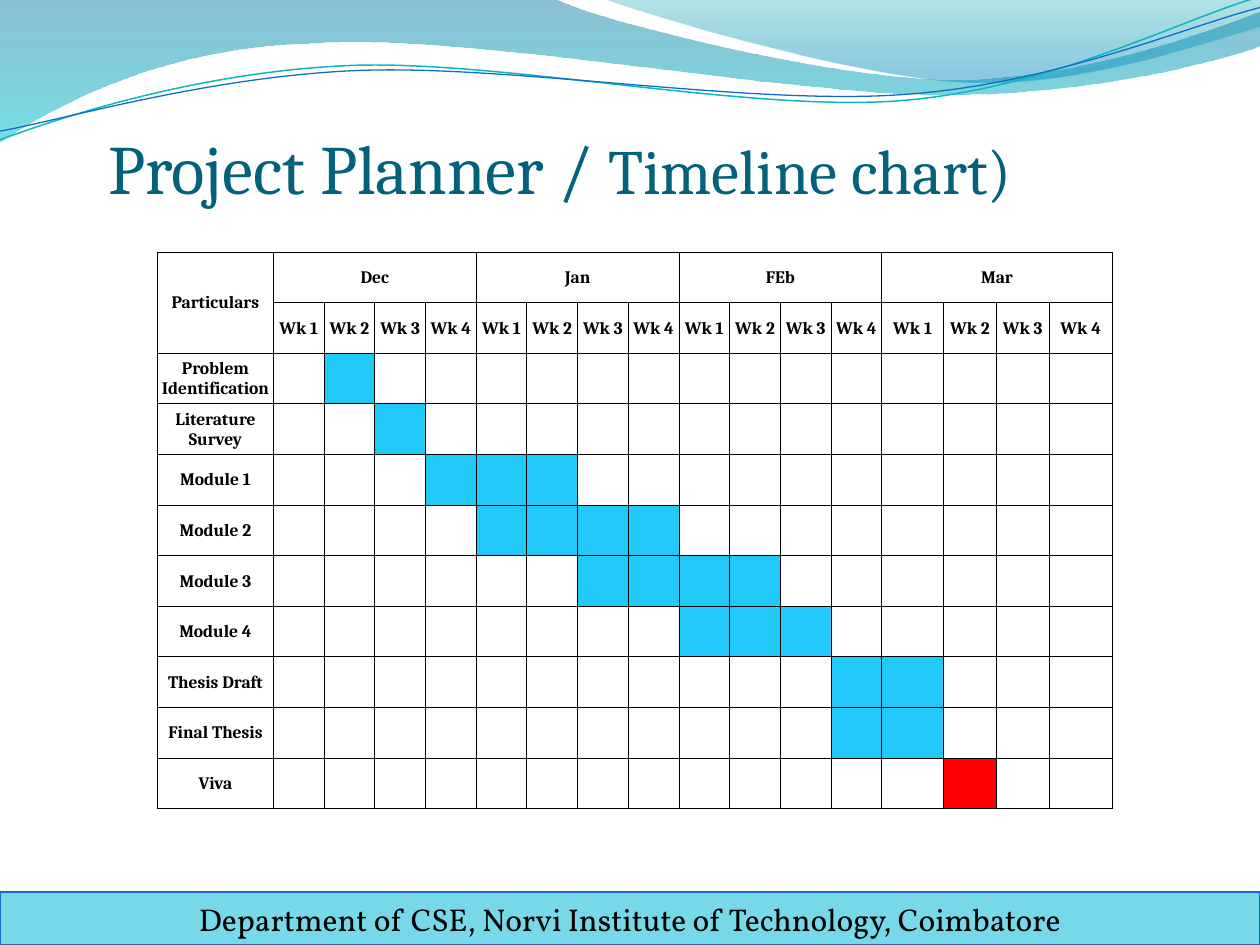
from math import cos, radians, sin

from lxml import etree
from pptx import Presentation
from pptx.dml.color import RGBColor
from pptx.enum.shapes import MSO_SHAPE
from pptx.enum.text import MSO_ANCHOR, MSO_AUTO_SIZE, PP_ALIGN
from pptx.oxml import parse_xml
from pptx.oxml.ns import nsdecls, qn
from pptx.util import Inches, Pt

RECTANGLE = MSO_SHAPE.RECTANGLE
MIDDLE, BOTTOM = MSO_ANCHOR.MIDDLE, MSO_ANCHOR.BOTTOM
LEFT, CENTER = PP_ALIGN.LEFT, PP_ALIGN.CENTER
NO_AUTOFIT = MSO_AUTO_SIZE.NONE

THEME = {
    "title": "04617B", "text": "000000", "border": "000000",
    "footer": "77D9E8", "line": "0F6FC6", "teal_line": "0AB8BF",
    "task": "20C9F8", "milestone": "FF0000",
    "heading_font": "Cambria", "footer_font": "Vollkorn",
    "title_size": 39.6, "subtitle_size": 36, "footer_size": 18, "table_size": 10,
}

# Content
TITLE_RUNS = [("Project Planner / ", THEME["title_size"]),
              ("Timeline chart)", THEME["subtitle_size"])]
FOOTER = "Department of CSE, Norvi Institute of Technology, Coimbatore"
MONTHS = ["Dec", "Jan", "FEb", "Mar"]
WEEKS = ["Wk 1", "Wk 2", "Wk 3", "Wk 4"]
# Name, first week, last week (counted from the first week of Dec), colour
TASKS = [
    ("Problem Identification", 2, 2, "task"),
    ("Literature Survey", 3, 3, "task"),
    ("Module 1", 4, 6, "task"),
    ("Module 2", 5, 8, "task"),
    ("Module 3", 7, 10, "task"),
    ("Module 4", 9, 11, "task"),
    ("Thesis Draft", 12, 13, "task"),
    ("Final Thesis", 12, 13, "task"),
    ("Viva", 14, 14, "milestone"),
]

# Waves: a start point, then segments of one point (line) or three (Bezier curve).
# Gradient stops: position, colour, opacity in percent.
FILLED_WAVES = [
    ([[(0, 0)], [(4.4, -0.01)], [(4.76, 0.17), (6.64, 0.63), (7.58, 0.63)],
      [(8.53, 0.63), (9.58, 0.26), (10, 0.09)], [(10.01, 0.36)],
      [(9.83, 0.44), (8.7, 0.76), (7.46, 0.75)],
      [(6.22, 0.75), (3.82, 0.28), (2.57, 0.34)],
      [(1.29, 0.36), (0.46, 0.83), (-0.01, 1.13)]],
     [(0, "0074A1", 45), (1, "00C6CF", 55)]),
    ([[(4.79, -0.01)], [(5.09, 0.11), (6.82, 0.62), (7.69, 0.65)],
      [(8.56, 0.69), (9.61, 0.32), (10, 0.21)], [(10, 0)]],
     [(0, "00A1A9", 30), (0.8, "008BBF", 45)]),
]
LINE_WAVES = [
    ([[(0, 1.11)], [(0.48, 0.93), (1.58, 0.57), (2.77, 0.52)],
      [(3.95, 0.47), (5.93, 0.89), (7.13, 0.8)],
      [(8.33, 0.71), (9.38, 0.15), (9.98, -0.02)]], "teal_line", 0.85),
    ([[(0, 1.04)], [(0.47, 0.96), (1.64, 0.61), (2.83, 0.56)],
      [(4.03, 0.51), (5.97, 0.84), (7.17, 0.75)],
      [(8.36, 0.67), (9.41, 0.21), (10, 0.06)]], "line", 0.75),
]
LINE_ROTATION = 357.3
LINE_CENTER = (4.99, 0.58)


def color(value):
    return RGBColor.from_string(value)


def format_run(run, size, font, value, bold=False):
    run.font.size, run.font.name, run.font.bold = Pt(size), font, bold
    run.font.color.rgb = color(value)


def set_margins(target, left, top, right, bottom):
    target.margin_left, target.margin_top = Inches(left), Inches(top)
    target.margin_right, target.margin_bottom = Inches(right), Inches(bottom)


def unrotate(point):
    angle = radians(-LINE_ROTATION)
    x, y = point[0] - LINE_CENTER[0], point[1] - LINE_CENTER[1]
    return (LINE_CENTER[0] + x * cos(angle) - y * sin(angle),
            LINE_CENTER[1] + x * sin(angle) + y * cos(angle))


def add_wave(slide, segments, close):
    points = [(Inches(x), Inches(y)) for segment in segments for x, y in segment]
    builder = slide.shapes.build_freeform(*points[0], scale=1.0)
    builder.add_line_segments(points[1:], close=close)
    shape = builder.convert_to_shape()
    shape.shadow.inherit = False
    # Join each three control points into one Bezier curve
    lines = iter(list(shape._element.spPr.iter(qn("a:lnTo"))))
    for segment in segments[1:]:
        group = [next(lines) for _ in segment]
        if len(group) == 3:
            curve = parse_xml(f'<a:cubicBezTo {nsdecls("a")}/>')
            group[0].addprevious(curve)
            for line in group:
                curve.append(line[0])
                line.getparent().remove(line)
    return shape


def add_waves(slide):
    for segments, stops in FILLED_WAVES:
        shape = add_wave(slide, segments, True)
        shape.line.fill.background()
        shape.fill.gradient()
        shape.fill.gradient_angle = 270
        for stop, (position, value, _) in zip(shape.fill.gradient_stops, stops):
            stop.position = position
            stop.color.rgb = color(value)
        fill_colors = list(shape._element.spPr.iter(qn("a:srgbClr")))
        for element, (_, _, opacity) in zip(fill_colors, stops):
            etree.SubElement(element, qn("a:alpha")).set("val", str(opacity * 1000))
    for segments, name, width in LINE_WAVES:
        level = [[unrotate(point) for point in segment] for segment in segments]
        shape = add_wave(slide, level, False)
        shape.rotation = LINE_ROTATION
        shape.fill.background()
        shape.line.color.rgb = color(THEME[name])
        shape.line.width = Pt(width)


def add_title(slide):
    title = slide.shapes.title
    title.left, title.top = Inches(0.5), Inches(0.92)
    title.width, title.height = Inches(9), Inches(0.73)
    frame = title.text_frame
    frame.auto_size, frame.vertical_anchor = NO_AUTOFIT, BOTTOM
    set_margins(frame, 0.36, 0.05, 0, 0)
    paragraph = frame.paragraphs[0]
    paragraph.alignment = LEFT
    for text, size in TITLE_RUNS:
        run = paragraph.add_run()
        run.text = text
        format_run(run, size, THEME["heading_font"], THEME["title"])
    slide.shapes._spTree.append(title._element)  # in front of the waves


def add_footer(slide):
    footer = slide.shapes.add_shape(RECTANGLE, 0, Inches(7.08), Inches(10), Inches(0.42))
    footer.shadow.inherit = False
    footer.fill.solid()
    footer.fill.fore_color.rgb = color(THEME["footer"])
    footer.line.color.rgb = color(THEME["line"])
    footer.line.width = Pt(0.75)
    frame = footer.text_frame
    frame.text, frame.vertical_anchor = FOOTER, MIDDLE
    paragraph = frame.paragraphs[0]
    paragraph.alignment = CENTER
    format_run(paragraph.runs[0], THEME["footer_size"], THEME["footer_font"], THEME["text"])


def add_borders(cell):
    properties = cell._tc.get_or_add_tcPr()
    for index, side in enumerate(("lnL", "lnR", "lnT", "lnB")):
        properties.insert(index, parse_xml(
            f'<a:{side} {nsdecls("a")} w="{Pt(0.5)}"><a:solidFill>'
            f'<a:srgbClr val="{THEME["border"]}"/></a:solidFill></a:{side}>'))


def write_cell(cell, text):
    cell.text_frame.text = text
    paragraph = cell.text_frame.paragraphs[0]
    paragraph.alignment = CENTER
    format_run(paragraph.runs[0], THEME["table_size"], THEME["heading_font"],
               THEME["text"], bold=True)


def add_timeline(slide):
    row_count, week_count = len(TASKS) + 2, len(MONTHS) * len(WEEKS)
    table = slide.shapes.add_table(row_count, week_count + 1, Inches(1.25), Inches(2),
                                   Inches(7.58), Inches(4.42)).table
    table.first_row = table.horz_banding = False
    widths = ([Inches(0.92)] + [Inches(4.83) // 12] * 12
              + [Inches(width) for width in (0.49, 0.42, 0.42, 0.5)])
    for column, width in zip(table.columns, widths):
        column.width = width
    for row in table.rows:
        row.height = Inches(4.42) // row_count
    for cell in table.iter_cells():
        cell.fill.background()
        cell.vertical_anchor = MIDDLE
        set_margins(cell, 0.01, 0.01, 0.01, 0)
        add_borders(cell)

    # Headings
    table.cell(0, 0).merge(table.cell(1, 0))
    write_cell(table.cell(0, 0), "Particulars")
    for index, month in enumerate(MONTHS):
        first = 1 + index * len(WEEKS)
        table.cell(0, first).merge(table.cell(0, first + len(WEEKS) - 1))
        write_cell(table.cell(0, first), month)
        for offset, week in enumerate(WEEKS):
            write_cell(table.cell(1, first + offset), week)

    # Task bars
    for row, (name, first, last, fill) in enumerate(TASKS, start=2):
        write_cell(table.cell(row, 0), name)
        for week in range(first, last + 1):
            cell = table.cell(row, week)
            cell.fill.solid()
            cell.fill.fore_color.rgb = color(THEME[fill])


presentation = Presentation()
presentation.slide_width, presentation.slide_height = Inches(10), Inches(7.5)
main_slide = presentation.slides.add_slide(presentation.slide_layouts[5])
add_waves(main_slide)
add_title(main_slide)
add_footer(main_slide)
add_timeline(main_slide)
presentation.save("out.pptx")
